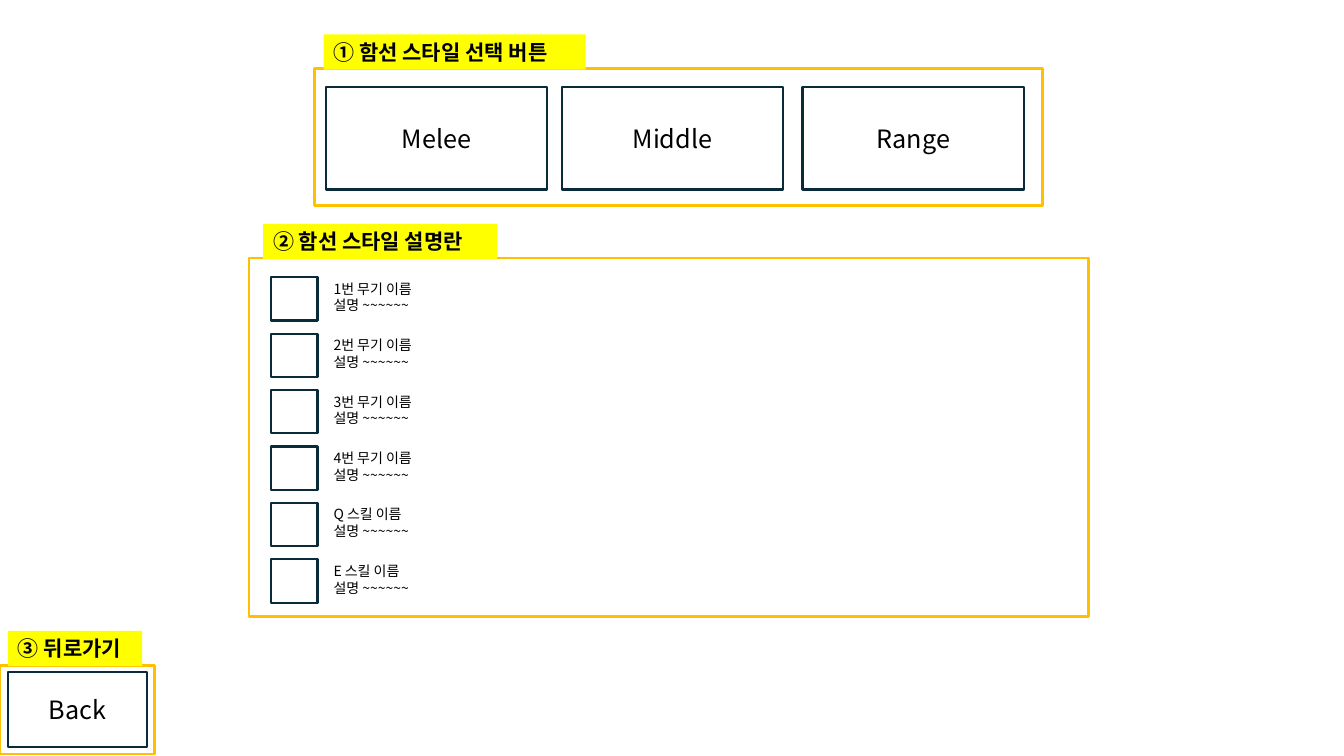
from lxml.etree import SubElement as Sub
from pptx import Presentation
from pptx.dml.color import RGBColor as RGB
from pptx.enum.shapes import MSO_SHAPE as Kind
from pptx.enum.text import MSO_ANCHOR as Anchor, PP_ALIGN as Align
from pptx.oxml.ns import qn
from pptx.util import Inches, Pt

FACE = "Noto Sans CJK KR"
INK, NAVY, GOLD, YELLOW, WHITE = "000000", "092A39", "FFC000", "FFFF00", "FFFFFF"
BUTTON = {"size": Pt(18), "bold": False}
LABEL = {"size": Pt(15), "bold": True}
NOTE = {"size": Pt(10), "bold": False}


def color(code):
    return RGB.from_string(code)


def write(shape, lines, style, align=Align.LEFT, anchor=Anchor.TOP):
    frame = shape.text_frame
    frame.word_wrap = True
    frame.vertical_anchor = anchor
    frame.text = "\n".join(lines)
    for para in frame.paragraphs:
        para.alignment = align
        for run in para.runs:
            for key, value in {"name": FACE, **style}.items():
                setattr(run.font, key, value)
            run.font.color.rgb = color(INK)
            # Korean glyphs take the East Asian face
            Sub(run._r.get_or_add_rPr(), qn("a:ea"), typeface=FACE)


def rect(shapes, box, fill=None, line=None, width=1.5):
    shape = shapes.add_shape(Kind.RECTANGLE, *map(Inches, box))
    shape.shadow.inherit = False
    if fill:
        shape.fill.solid()
        shape.fill.fore_color.rgb = color(fill)
    else:
        shape.fill.background()
    if line:
        shape.line.color.rgb = color(line)
        shape.line.width = Pt(width)
    else:
        shape.line.fill.background()
    return shape


def button(shapes, box, text):
    write(rect(shapes, box, WHITE, NAVY), [text], BUTTON, Align.CENTER, Anchor.MIDDLE)


def region(shapes, box, text, shift, width):
    """Gold frame with a yellow label on its top edge."""
    x, y = box[:2]
    rect(shapes, box, line=GOLD, width=2)
    label = rect(shapes, (x + shift, y - 0.34, width, 0.35), YELLOW)
    write(label, [text], LABEL)


def styles(shapes, box):
    x, y = box[:2]
    region(shapes, box, "① 함선 스타일 선택 버튼", 0.09, 2.6)
    for shift, name in ((0.11, "Melee"), (2.45, "Middle"), (4.84, "Range")):
        button(shapes, (x + shift, y + 0.18, 2.2, 1.02), name)


def details(shapes, box):
    x, y = box[:2]
    region(shapes, box, "② 함선 스타일 설명란", 0.14, 2.32)
    names = [f"{n}번 무기 이름" for n in range(1, 5)]
    names += [f"{key} 스킬 이름" for key in "QE"]
    for row, name in enumerate(names):
        top = y + 0.19 + row * 0.56
        group = shapes.add_group_shape().shapes
        rect(group, (x + 0.22, top, 0.46, 0.43), WHITE, NAVY)
        note = group.add_textbox(*map(Inches, (x + 0.74, top - 0.02, 1.12, 0.44)))
        write(note, [name, "설명 ~~~~~~"], NOTE)


def back(shapes, box):
    x, y = box[:2]
    region(shapes, box, "③ 뒤로가기", 0.08, 1.33)
    button(shapes, (x + 0.08, y + 0.07, 1.38, 0.74), "Back")


def main():
    deck = Presentation()
    deck.slide_width, deck.slide_height = Inches(13.33), Inches(7.5)
    shapes = deck.slides.add_slide(deck.slide_layouts[6]).shapes
    # Style buttons, style details, back button
    styles(shapes, (3.12, 0.68, 7.22, 1.36))
    details(shapes, (2.47, 2.56, 8.33, 3.56))
    back(shapes, (0, 6.6, 1.53, 0.88))
    deck.save("out.pptx")


if __name__ == "__main__":
    main()
